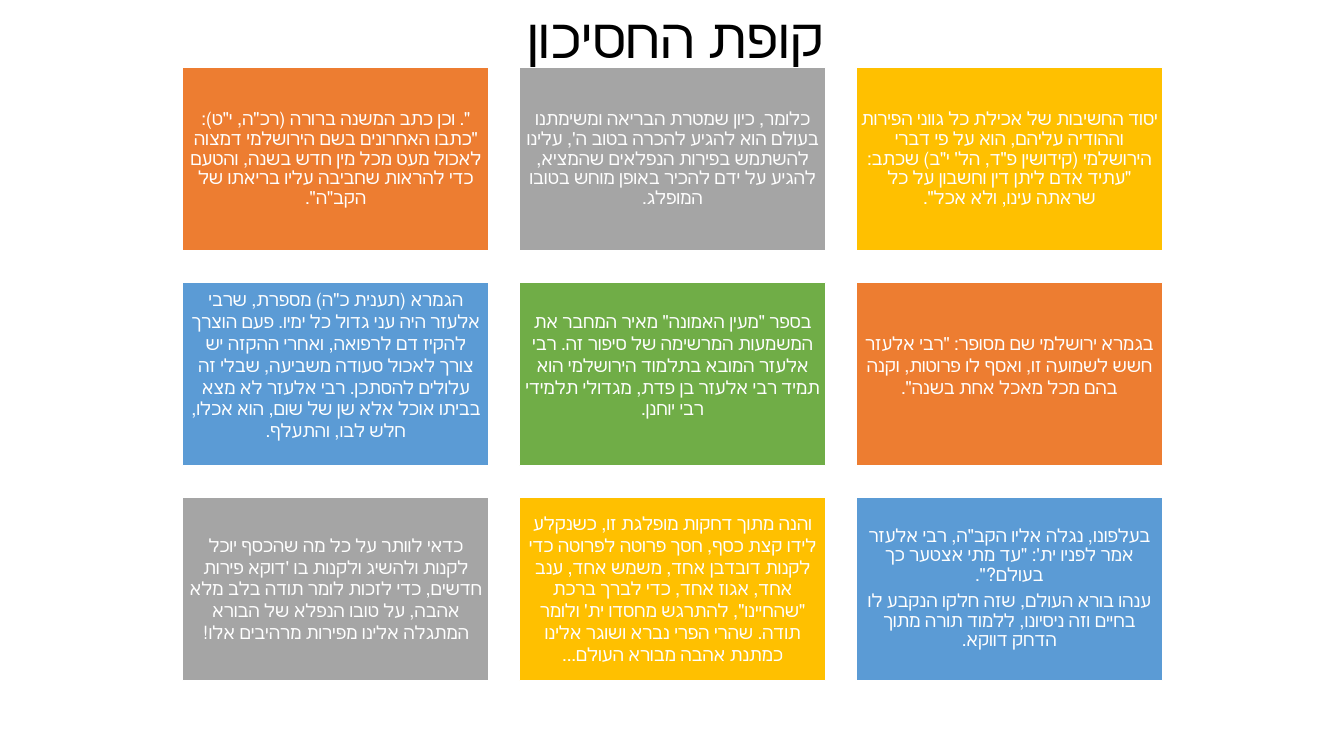
from pptx import Presentation
from pptx.dml.color import RGBColor
from pptx.enum.lang import MSO_LANGUAGE_ID
from pptx.enum.shapes import MSO_SHAPE
from pptx.enum.text import MSO_ANCHOR, MSO_AUTO_SIZE, PP_ALIGN
from pptx.util import Inches, Pt

RECT = MSO_SHAPE.RECTANGLE
MIDDLE = MSO_ANCHOR.MIDDLE
CENTER = PP_ALIGN.CENTER
NO_FIT = MSO_AUTO_SIZE.NONE
HEBREW = MSO_LANGUAGE_ID.HEBREW
TITLE_ONLY = 5

FONT = "Calibri"
COLORS = {
    "black": "000000", "white": "FFFFFF", "orange": "ED7D31", "gray": "A5A5A5",
    "gold": "FFC000", "blue": "5B9BD5", "green": "70AD47",
}

# Card grid, in inches
LEFT, TOP = 1.81, 0.67
CARD_W, CARD_H = 3.04, 1.82
COL_STEP, ROW_STEP = 3.34, 2.13
INSET, RAISED_INSET = 0.05, 0.23
TIGHT, SINGLE = 0.9, 1.0

# Rows of cards from left to right: colour, line spacing, bottom inset, paragraphs
CARDS = [
    [
        ("orange", TIGHT, INSET, [
            "\". וכן כתב המשנה ברורה (רכ\"ה, י\"ט): \"כתבו האחרונים בשם הירושלמי דמצוה "
            "לאכול מעט מכל מין חדש בשנה, והטעם כדי להראות שחביבה עליו בריאתו של הקב\"ה\"."]),
        ("gray", TIGHT, INSET, [
            "כלומר, כיון שמטרת הבריאה ומשימתנו בעולם הוא להגיע להכרה בטוב ה', עלינו "
            "להשתמש בפירות הנפלאים שהמציא, להגיע על ידם להכיר באופן מוחש בטובו המופלג."]),
        ("gold", TIGHT, INSET, [
            "יסוד החשיבות של אכילת כל גווני הפירות וההודיה עליהם, הוא על פי דברי הירושלמי "
            "(קידושין פ\"ד, הל' י\"ב) שכתב: \"עתיד אדם ליתן דין וחשבון על כל שראתה עינו, "
            "ולא אכל\"."]),
    ],
    [
        ("blue", SINGLE, RAISED_INSET, [
            "הגמרא (תענית כ\"ה) מספרת, שרבי אלעזר היה עני גדול כל ימיו. פעם הוצרך להקיז דם "
            "לרפואה, ואחרי ההקזה יש צורך לאכול סעודה משביעה, שבלי זה עלולים להסתכן. רבי "
            "אלעזר לא מצא בביתו אוכל אלא שן של שום, הוא אכלו, חלש לבו, והתעלף."]),
        ("green", SINGLE, RAISED_INSET, [
            "בספר \"מעין האמונה\" מאיר המחבר את המשמעות המרשימה של סיפור זה. רבי אלעזר "
            "המובא בתלמוד הירושלמי הוא תמיד רבי אלעזר בן פדת, מגדולי תלמידי רבי יוחנן."]),
        ("orange", SINGLE, RAISED_INSET, [
            "בגמרא ירושלמי שם מסופר: \"רבי אלעזר חשש לשמועה זו, ואסף לו פרוטות, וקנה בהם "
            "מכל מאכל אחת בשנה\"."]),
    ],
    [
        ("gray", SINGLE, INSET, [
            "כדאי לוותר על כל מה שהכסף יוכל לקנות ולהשיג ולקנות בו 'דוקא פירות חדשים, כדי "
            "לזכות לומר תודה בלב מלא אהבה, על טובו הנפלא של הבורא המתגלה אלינו מפירות "
            "מרהיבים אלו!"]),
        ("gold", SINGLE, INSET, [
            "והנה מתוך דחקות מופלגת זו, כשנקלע לידו קצת כסף, חסך פרוטה לפרוטה כדי לקנות "
            "דובדבן אחד, משמש אחד, ענב אחד, אגוז אחד, כדי לברך ברכת ״שהחיינו״, להתרגש "
            "מחסדו ית' ולומר תודה. שהרי הפרי נברא ושוגר אלינו כמתנת אהבה מבורא העולם..."]),
        ("blue", TIGHT, INSET, [
            "בעלפונו, נגלה אליו הקב\"ה, רבי אלעזר אמר לפניו ית': \"עד מתי אצטער כך בעולם?\".",
            "ענהו בורא העולם, שזה חלקו הנקבע לו בחיים וזה ניסיונו, ללמוד תורה מתוך הדחק "
            "דווקא."]),
    ],
]


def rgb(name):
    return RGBColor.from_string(COLORS[name])


def set_attrs(obj, values):
    for name, value in values.items():
        setattr(obj, name, value)


def place(s, *box):
    for name, length in zip(("left", "top", "width", "height"), box):
        setattr(s, name, Inches(length))


def write_rtl(tf, texts, size, color, spacing):
    """Fill a text frame with centred right-to-left paragraphs."""
    set_attrs(tf, {"word_wrap": True, "auto_size": NO_FIT, "vertical_anchor": MIDDLE})
    for i, text in enumerate(texts):
        p = tf.add_paragraph() if i else tf.paragraphs[0]
        set_attrs(p, {"alignment": CENTER, "line_spacing": spacing,
                      "space_before": Pt(4.55 if i else 0)})
        p._p.get_or_add_pPr().set("rtl", "1")
        r = p.add_run()
        r.text = text
        set_attrs(r.font, {"name": FONT, "size": Pt(size), "language_id": HEBREW})
        r.font.color.rgb = rgb(color)


def add_title(slide, text):
    s = slide.shapes.title
    place(s, 0.95, 0.38, 11.5, 0.05)
    write_rtl(s.text_frame, [text], 39.6, "black", TIGHT)


def add_card(slide, col, row, color, spacing, bottom, texts):
    s = slide.shapes.add_shape(RECT, 0, 0, 0, 0)
    place(s, LEFT + col * COL_STEP, TOP + row * ROW_STEP, CARD_W, CARD_H)
    s.shadow.inherit = False
    s.fill.solid()
    s.fill.fore_color.rgb = rgb(color)
    s.line.color.rgb = rgb("white")
    s.line.width = Pt(1)
    tf = s.text_frame
    set_attrs(tf, {f"margin_{side}": Inches(INSET) for side in ("left", "top", "right")})
    tf.margin_bottom = Inches(bottom)
    write_rtl(tf, texts, 13, "white", spacing)


def main():
    prs = Presentation()
    prs.slide_width, prs.slide_height = Inches(13.33), Inches(7.5)
    slide = prs.slides.add_slide(prs.slide_layouts[TITLE_ONLY])
    add_title(slide, "קופת החסיכון")
    for row, cards in enumerate(CARDS):
        for col, card in enumerate(cards):
            add_card(slide, col, row, *card)
    prs.save("out.pptx")


if __name__ == "__main__":
    main()
